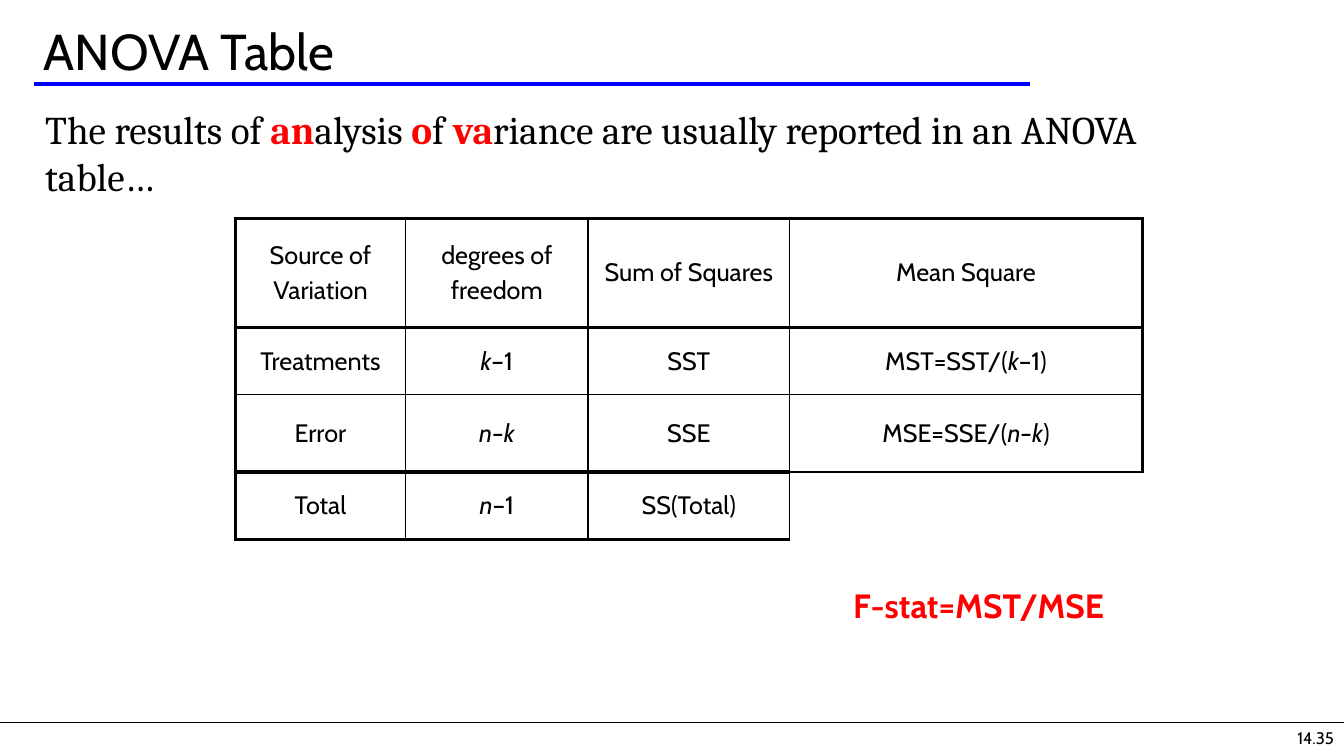
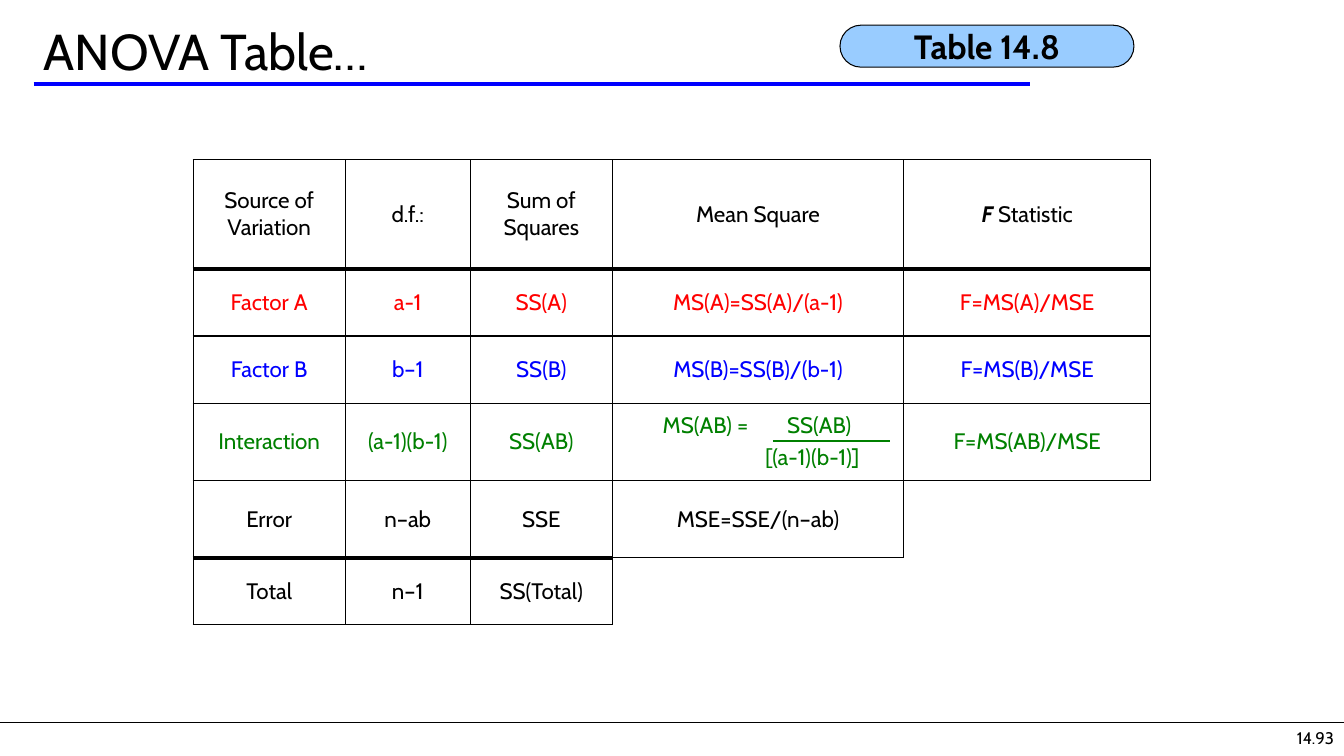
from dataclasses import dataclass, field, replace
from typing import NamedTuple

from lxml import etree
from pptx import Presentation
from pptx.dml.color import RGBColor
from pptx.enum.shapes import MSO_CONNECTOR, MSO_SHAPE
from pptx.enum.text import MSO_ANCHOR, PP_ALIGN
from pptx.oxml.ns import qn
from pptx.util import Inches, Pt

LEFT, CENTER, RIGHT = PP_ALIGN.LEFT, PP_ALIGN.CENTER, PP_ALIGN.RIGHT
TOP, MIDDLE = MSO_ANCHOR.TOP, MSO_ANCHOR.MIDDLE
STRAIGHT = MSO_CONNECTOR.STRAIGHT
ROUNDED = MSO_SHAPE.ROUNDED_RECTANGLE

COLORS = {"black": "000000", "red": "FF0000", "blue": "0000FF",
          "green": "008000", "sky": "99CCFF"}

# Slide grid: twelve units to the inch
COLS, ROWS = 160, 90
THIN, THICK = 1, 3


def u(units: float) -> int:
    return Inches(units / 12)


def rgb(name: str) -> RGBColor:
    return RGBColor.from_string(COLORS[name])


class Box(NamedTuple):
    x: float
    y: float
    w: float
    h: float


class Run(NamedTuple):
    text: str
    bold: bool = False
    italic: bool = False
    color: str = ""


class Tabbed(NamedTuple):
    """A left-aligned line whose words start at the given tab stops."""
    words: tuple
    stops: tuple


@dataclass(frozen=True)
class Style:
    size: float
    font: str = "Cabin"
    color: str = "black"
    bold: bool = False
    align: PP_ALIGN = LEFT
    anchor: MSO_ANCHOR = MIDDLE
    before: float = 0  # share of the text size


@dataclass(frozen=True)
class Grid:
    """A table; cells missing at the end of a row have no frame."""
    x: float
    y: float
    cols: list
    rows: list
    cells: list
    style: Style
    outer: float = THIN
    thick: set = field(default_factory=set)  # row edges with a thick rule
    colors: dict = field(default_factory=dict)  # text colour by row


TITLE = Style(36)
NUMBER = Style(12, align=RIGHT, anchor=TOP)
BODY = Style(28, "Cambria", anchor=TOP, before=0.2)
CELL = Style(18, align=CENTER, before=0.2)
LABEL = Style(24, bold=True, align=CENTER)


# Text: a string has one paragraph a line, a list holds the runs of one
def paragraphs(text) -> list:
    if isinstance(text, str):
        return [[line] for line in text.split("\n")]
    if isinstance(text, tuple):
        return list(text)
    return [text]


def write(tf, text, style: Style) -> None:
    for n, line in enumerate(paragraphs(text)):
        p = tf.add_paragraph() if n else tf.paragraphs[0]
        p.alignment = style.align
        p.space_before = Pt(style.size * style.before)
        if isinstance(line, Tabbed):
            p.alignment = LEFT
            tabs = etree.SubElement(p._p.get_or_add_pPr(), qn("a:tabLst"))
            for stop in line.stops:
                etree.SubElement(tabs, qn("a:tab"), pos=str(u(stop)), algn="l")
            line = ["\t" + word for word in line.words]
        for item in line:
            run = item if isinstance(item, Run) else Run(item)
            r = p.add_run()
            r.text = run.text
            look = {"name": style.font, "size": Pt(style.size),
                    "bold": style.bold or run.bold, "italic": run.italic}
            for key, value in look.items():
                setattr(r.font, key, value)
            r.font.color.rgb = rgb(run.color or style.color)


def add_text(s, box: Box, text, style: Style) -> None:
    tf = s.shapes.add_textbox(*map(u, box)).text_frame
    tf.word_wrap = True
    tf.vertical_anchor = style.anchor
    write(tf, text, style)


def add_line(s, x1: float, y1: float, x2: float, y2: float,
             color: str, width: float) -> None:
    c = s.shapes.add_connector(STRAIGHT, u(x1), u(y1), u(x2), u(y2))
    c.line.color.rgb = rgb(color)
    c.line.width = Pt(width)
    etree.SubElement(c._element.spPr, qn("a:effectLst"))


def add_pill(s, box: Box, text: str, fill: str) -> None:
    sp = s.shapes.add_shape(ROUNDED, *map(u, box))
    sp.adjustments[0] = 0.5
    sp.shadow.inherit = False
    sp.fill.solid()
    sp.fill.fore_color.rgb = rgb(fill)
    sp.line.color.rgb = rgb("black")
    sp.line.width = Pt(0.75)
    sp.text_frame.vertical_anchor = LABEL.anchor
    write(sp.text_frame, text, LABEL)


# Table frame
def add_border(cell, side: str, width: float) -> None:
    ln = etree.SubElement(cell._tc.get_or_add_tcPr(), qn("a:" + side))
    if not width:
        etree.SubElement(ln, qn("a:noFill"))
        return
    ln.set("w", str(Pt(width)))
    fill = etree.SubElement(ln, qn("a:solidFill"))
    etree.SubElement(fill, qn("a:srgbClr"), val=COLORS["black"])


def edge_width(grid: Grid, first: tuple, second: tuple) -> float:
    """Width of the rule between two neighbouring (row, column) places."""
    def used(place: tuple) -> bool:
        row, col = place
        return 0 <= row < len(grid.rows) and 0 <= col < len(grid.cells[row])

    def inside(place: tuple) -> bool:
        row, col = place
        return 0 <= row < len(grid.rows) and 0 <= col < len(grid.cols)

    if not (used(first) or used(second)):
        return 0
    if not (inside(first) and inside(second)):
        return grid.outer
    across = first[0] != second[0]
    if across and second[0] in grid.thick and used(first) and used(second):
        return THICK
    return THIN


def add_grid(s, grid: Grid) -> None:
    table = s.shapes.add_table(
        len(grid.rows), len(grid.cols), u(grid.x), u(grid.y),
        u(sum(grid.cols)), u(sum(grid.rows))).table
    table.first_row = table.horz_banding = False
    for column, width in zip(table.columns, grid.cols):
        column.width = u(width)
    for row, height in zip(table.rows, grid.rows):
        row.height = u(height)
    for i in range(len(grid.rows)):
        style = replace(grid.style, color=grid.colors.get(i, "black"))
        for j in range(len(grid.cols)):
            cell, here = table.cell(i, j), (i, j)
            edges = {"lnL": ((i, j - 1), here), "lnR": (here, (i, j + 1)),
                     "lnT": ((i - 1, j), here), "lnB": (here, (i + 1, j))}
            for side, places in edges.items():
                add_border(cell, side, edge_width(grid, *places))
            cell.fill.background()
            cell.vertical_anchor = style.anchor
            if j < len(grid.cells[i]):
                write(cell.text_frame, grid.cells[i][j], style)


# Shared frame: footer rule, title rule, slide number and title
def add_slide(prs, title: str, number: str):
    s = prs.slides.add_slide(prs.slide_layouts[6])
    add_line(s, 0, 86, COLS, 86, "black", 0.75)
    add_line(s, 4, 10, 122.6, 10, "blue", 2.5)
    add_text(s, Box(126.7, 86, 33.3, 4), number, NUMBER)
    add_text(s, Box(4, 2, 153.4, 8), title, TITLE)
    return s


def red(text: str) -> Run:
    return Run(text, bold=True, color="red")


def it(text: str) -> Run:
    return Run(text, italic=True)


ONE_WAY = Grid(
    28, 26, [20.3, 21.7, 24, 42], [13, 8, 9.2, 8],
    [["Source of\nVariation", "degrees of\nfreedom", "Sum of Squares",
      "Mean Square"],
     ["Treatments", [it("k"), "–1"], "SST", ["MST=SST/(", it("k"), "–1)"]],
     ["Error", [it("n–k")], "SSE", ["MSE=SSE/(", it("n–k"), ")"]],
     ["Total", [it("n"), "–1"], "SS(Total)"]],
    CELL, outer=2.25, thick={1, 3})

INTERACTION_MS = (Tabbed(("MS(AB) =", "SS(AB)"), (4.8, 19.6)),
                  Tabbed(("[(a-1)(b-1)]",), (17,)))

TWO_WAY = Grid(
    23, 19, [18.1, 14.9, 16.9, 34.7, 29.4], [13, 8, 8, 9.2, 9.2, 8],
    [["Source of Variation", "d.f.:", "Sum of Squares", "Mean Square",
      [Run("F", bold=True, italic=True), " Statistic"]],
     ["Factor A", "a-1", "SS(A)", "MS(A)=SS(A)/(a-1)", "F=MS(A)/MSE"],
     ["Factor B", "b–1", "SS(B)", "MS(B)=SS(B)/(b-1)", "F=MS(B)/MSE"],
     ["Interaction", "(a-1)(b-1)", "SS(AB)", INTERACTION_MS, "F=MS(AB)/MSE"],
     ["Error", "n–ab", "SSE", "MSE=SSE/(n–ab)"],
     ["Total", "n–1", "SS(Total)"]],
    replace(CELL, size=16), thick={1, 5},
    colors={1: "red", 2: "blue", 3: "green"})


def main() -> None:
    prs = Presentation()
    prs.slide_width, prs.slide_height = u(COLS), u(ROWS)

    # One-way table
    s = add_slide(prs, "ANOVA Table", "14.35")
    add_text(s, Box(4.2, 12, 139.8, 72),
             ["The results of ", red("an"), "alysis ", red("o"), "f ",
              red("va"), "riance are usually reported in an ANOVA table…"],
             BODY)
    add_grid(s, ONE_WAY)
    add_text(s, Box(98, 69, 37, 6), "F-stat=MST/MSE",
             replace(LABEL, color="red", before=0.2))

    # Two-way table with the fraction bar of the interaction
    s = add_slide(prs, "ANOVA Table…", "14.93")
    add_pill(s, Box(100, 3, 35, 5), "Table 14.8", "sky")
    add_grid(s, TWO_WAY)
    add_line(s, 92, 52.5, 106, 52.5, "green", 1)

    prs.save("out.pptx")


if __name__ == "__main__":
    main()
